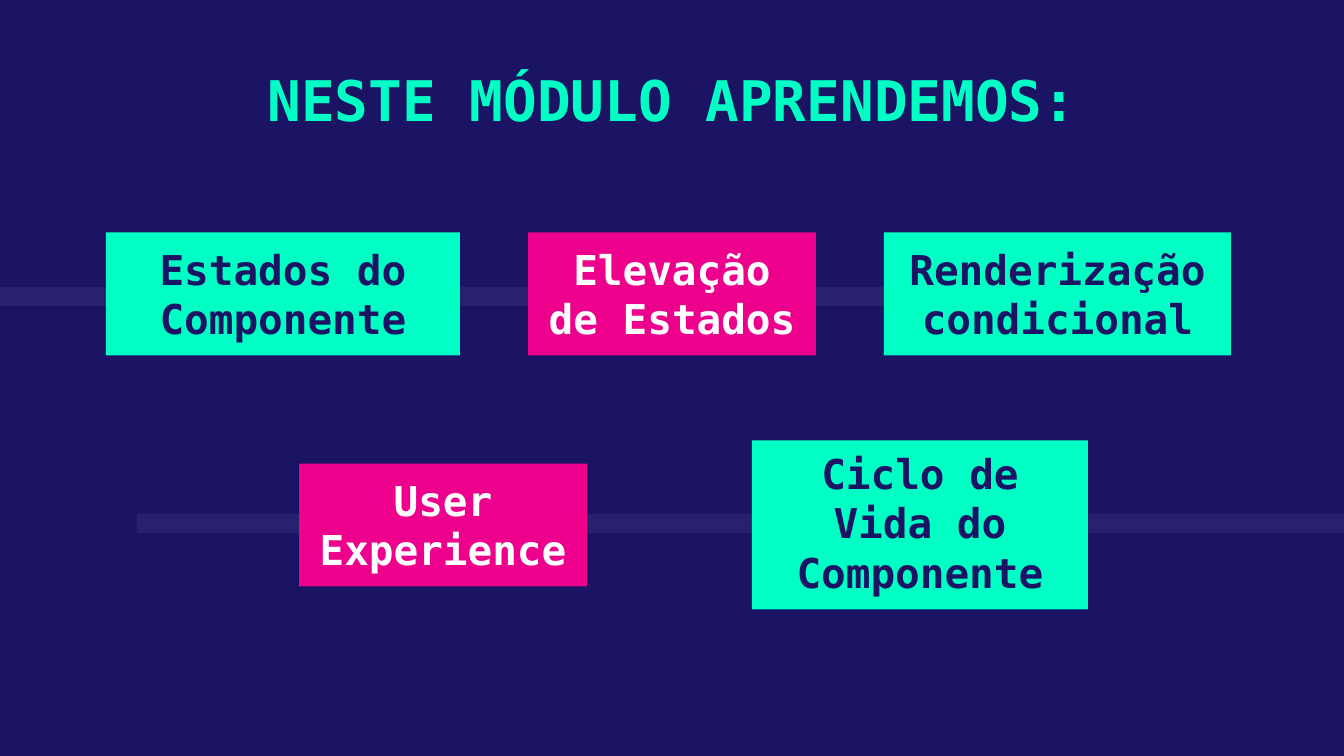
from lxml import etree
from pptx import Presentation
from pptx.dml.color import RGBColor
from pptx.enum.shapes import MSO_SHAPE
from pptx.enum.text import MSO_ANCHOR, PP_ALIGN
from pptx.oxml.ns import qn
from pptx.util import Pt

RECT = MSO_SHAPE.RECTANGLE
CENTER = PP_ALIGN.CENTER
MIDDLE, BOTTOM = MSO_ANCHOR.MIDDLE, MSO_ANCHOR.BOTTOM

NAVY, MINT, PINK, WHITE = "1B1464", "00FFC5", "EC008C", "FFFFFF"
FONT = "DejaVu Sans Mono"
SCALE = 914400 / 134.4
WIDE, HIGH = 1344, 756
INSET = 13

TITLE = ("NESTE MÓDULO APRENDEMOS:", (188, 50, 968, 98))
BARS = [(0, 287, 1145, 19), (137, 514, 1207, 19)]
ROWS = [
    (294, [
        ("Estados do Componente", 106, 354, 123, MINT, NAVY),
        ("Elevação de Estados", 528, 288, 123, PINK, WHITE),
        ("Renderização condicional", 884, 347, 123, MINT, NAVY),
    ]),
    (525, [
        ("User Experience", 299, 288, 123, PINK, WHITE),
        ("Ciclo de Vida do Componente", 752, 336, 169, MINT, NAVY),
    ]),
]


def px(n):
    return round(n * SCALE)


def color(code):
    return RGBColor.from_string(code)


def block(slide, box, fill):
    shape = slide.shapes.add_shape(RECT, *map(px, box))
    shape.shadow.inherit = False
    shape.fill.solid()
    shape.fill.fore_color.rgb = color(fill)
    shape.line.fill.background()
    return shape


def fade(shape, share):
    tint = shape.fill._xPr.find(qn("a:solidFill"))[0]
    etree.SubElement(tint, qn("a:alpha")).set("val", str(share * 1000))


def write(shape, text, size, ink, anchor):
    frame = shape.text_frame
    frame.word_wrap = True
    frame.vertical_anchor = anchor
    frame.margin_left = frame.margin_right = px(INSET)
    frame.margin_top = frame.margin_bottom = px(INSET)
    para = frame.paragraphs[0]
    para.alignment = CENTER
    run = para.add_run()
    run.text = text
    font = run.font
    font.name, font.size, font.bold = FONT, Pt(size), True
    font.color.rgb = color(ink)


def main():
    deck = Presentation()
    deck.slide_width, deck.slide_height = px(WIDE), px(HIGH)
    slide = deck.slides.add_slide(deck.slide_layouts[5])
    back = slide.background.fill
    back.solid()
    back.fore_color.rgb = color(NAVY)

    for bar in BARS:
        fade(block(slide, bar, WHITE), 6)

    for mid, cards in ROWS:
        for text, left, wide, high, fill, ink in cards:
            card = block(slide, (left, mid - high / 2, wide, high), fill)
            write(card, text, 22, ink, BOTTOM)

    text, box = TITLE
    title = slide.shapes.title
    title.left, title.top, title.width, title.height = map(px, box)
    write(title, text, 30, MINT, MIDDLE)

    deck.save("out.pptx")


if __name__ == "__main__":
    main()
